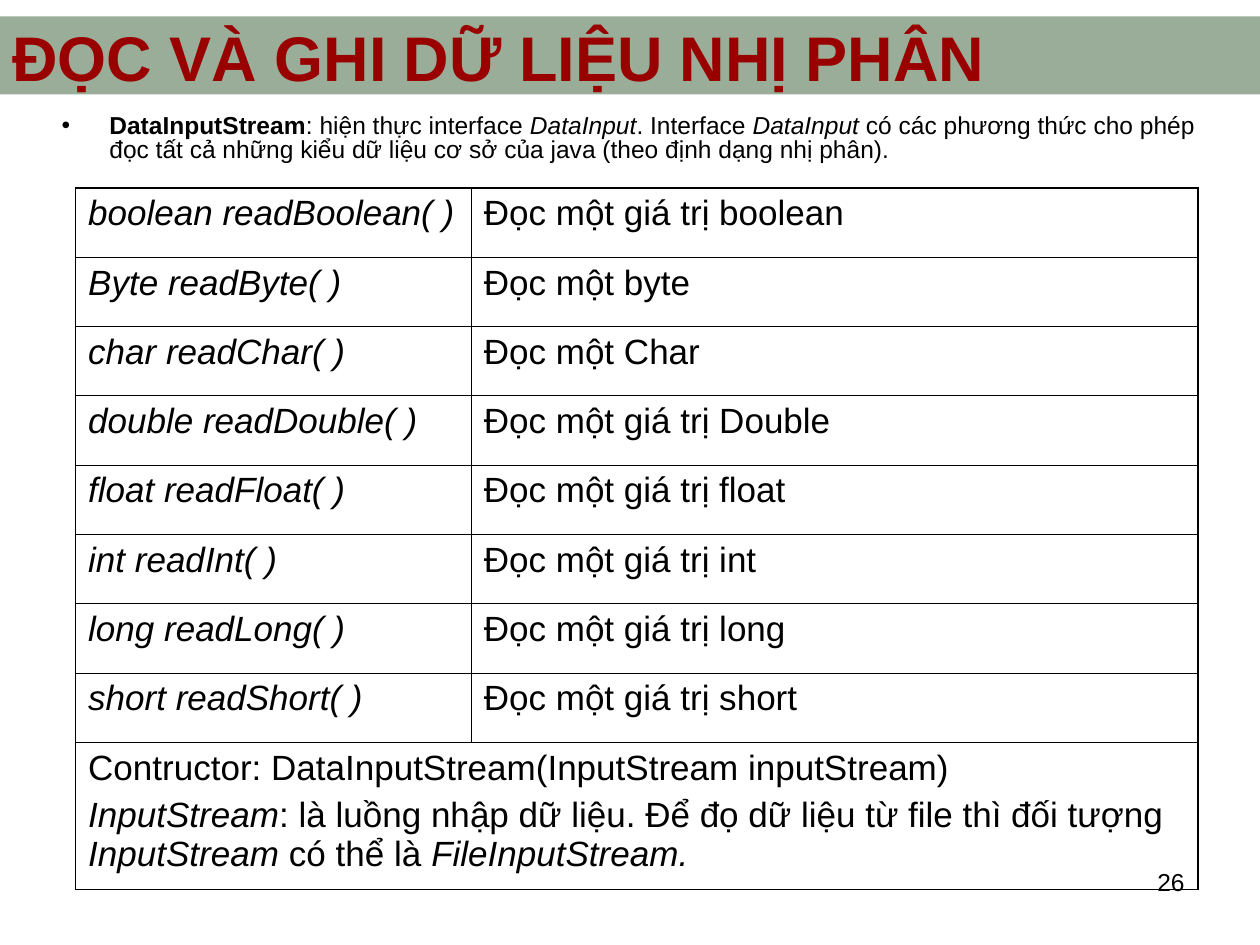
from dataclasses import dataclass

from lxml import etree
from pptx import Presentation
from pptx.dml.color import RGBColor
from pptx.enum.shapes import MSO_SHAPE
from pptx.enum.text import MSO_ANCHOR, PP_ALIGN
from pptx.oxml.ns import qn
from pptx.util import Inches, Pt

RECTANGLE = MSO_SHAPE.RECTANGLE
LEFT, RIGHT = PP_ALIGN.LEFT, PP_ALIGN.RIGHT
TOP, MIDDLE = MSO_ANCHOR.TOP, MSO_ANCHOR.MIDDLE

COLUMNS, ROWS = 100, 75  # grid over the 10 by 7.5 inch slide
PLAIN, BOLD, ITALIC = "plain", "bold", "italic"


@dataclass(frozen=True)
class Theme:
    font: str = "Arial"
    text: str = "000000"
    title: str = "990000"
    band: str = "003300"
    band_opacity: int = 40
    title_size: int = 36
    table_size: int = 20
    small_size: int = 14
    outer_border: float = 1.08
    inner_border: float = 0.45


METHODS = [
    ("boolean readBoolean( )", "Đọc một giá trị boolean"),
    ("Byte readByte( )", "Đọc một byte"),
    ("char readChar( )", "Đọc một Char"),
    ("double readDouble( )", "Đọc một giá trị Double"),
    ("float readFloat( )", "Đọc một giá trị float"),
    ("int readInt( )", "Đọc một giá trị int"),
    ("long readLong( )", "Đọc một giá trị long"),
    ("short readShort( )", "Đọc một giá trị short"),
]
CONSTRUCTOR = [
    [("Contructor: DataInputStream(InputStream inputStream)", PLAIN)],
    [
        ("InputStream", ITALIC),
        (": là luồng nhập dữ liệu. Để đọ dữ liệu từ file thì đối tượng ", PLAIN),
        ("InputStream ", ITALIC),
        ("có thể là ", PLAIN),
        ("FileInputStream.", ITALIC),
    ],
]
INTRODUCTION = [
    ("DataInputStream", BOLD),
    (": hiện thực interface ", PLAIN),
    ("DataInput", ITALIC),
    (". Interface ", PLAIN),
    ("DataInput ", ITALIC),
    ("có các phương thức cho phép đọc tất cả những kiểu dữ liệu cơ sở của java "
     "(theo định dạng nhị phân).", PLAIN),
]


class SlideBuilder:
    def __init__(self, presentation, theme):
        self.theme = theme
        self.column = presentation.slide_width / COLUMNS
        self.row = presentation.slide_height / ROWS
        self.slide = presentation.slides.add_slide(presentation.slide_layouts[6])

    def box(self, left, top, width, height):
        """Turn grid columns and rows into slide lengths."""
        return (round(left * self.column), round(top * self.row),
                round(width * self.column), round(height * self.row))

    def add_runs(self, paragraph, runs, size, color=None):
        for text, style in runs:
            run = paragraph.add_run()
            run.text = text
            font = run.font
            font.name, font.size = self.theme.font, Pt(size)
            font.bold, font.italic = style == BOLD, style == ITALIC
            font.color.rgb = RGBColor.from_string(color or self.theme.text)

    def band(self, *place):
        shape = self.slide.shapes.add_shape(RECTANGLE, *self.box(*place))
        shape.shadow.inherit = False
        shape.line.fill.background()
        shape.fill.solid()
        shape.fill.fore_color.rgb = RGBColor.from_string(self.theme.band)
        color = shape._element.spPr.find(".//" + qn("a:srgbClr"))
        etree.SubElement(color, qn("a:alpha"), val=str(self.theme.band_opacity * 1000))

    def text(self, place, runs, size, color=None, align=LEFT, anchor=TOP):
        shape = self.slide.shapes.add_textbox(*self.box(*place))
        shape.text_frame.word_wrap = True
        shape.text_frame.vertical_anchor = anchor
        paragraph = shape.text_frame.paragraphs[0]
        paragraph.alignment = align
        self.add_runs(paragraph, runs, size, color)
        return paragraph

    def bullet(self, place, runs, size):
        paragraph = self.text(place, runs, size)
        paragraph.line_spacing = 0.8
        paragraph.space_before = Pt(3.5)
        properties = paragraph._p.get_or_add_pPr()
        indent = Inches(0.38)
        properties.set("marL", str(indent))
        properties.set("indent", str(-indent))
        etree.SubElement(properties, qn("a:buFont"), typeface=self.theme.font)
        etree.SubElement(properties, qn("a:buChar"), char="•")

    def table(self, left, top, widths, heights, rows):
        """Draw rows of cells; a row with one cell spans the whole width."""
        place = self.box(left, top, sum(widths), sum(heights))
        frame = self.slide.shapes.add_table(len(heights), len(widths), *place)
        table = frame.table
        table.first_row = table.horz_banding = False
        for column, width in zip(table.columns, widths):
            column.width = round(width * self.column)
        for row, height in zip(table.rows, heights):
            row.height = round(height * self.row)
        last_row, last_column = len(heights) - 1, len(widths) - 1
        for r, cells in enumerate(rows):
            if len(cells) == 1:
                table.cell(r, 0).merge(table.cell(r, last_column))
            for c, paragraphs in enumerate(cells):
                self.fill_cell(table.cell(r, c), paragraphs)
            for c in range(len(widths)):
                cell = table.cell(r, c)
                cell.fill.background()
                self.borders(cell, {"L": c == 0, "R": c == last_column or len(cells) == 1,
                                    "T": r == 0, "B": r == last_row})

    def fill_cell(self, cell, paragraphs):
        frame = cell.text_frame
        for index, runs in enumerate(paragraphs):
            paragraph = frame.add_paragraph() if index else frame.paragraphs[0]
            paragraph.space_before = Pt(5)
            self.add_runs(paragraph, runs, self.theme.table_size)

    def borders(self, cell, outer_sides):
        properties = cell._tc.get_or_add_tcPr()
        for index, (side, outer) in enumerate(outer_sides.items()):
            width = self.theme.outer_border if outer else self.theme.inner_border
            line = etree.Element(qn(f"a:ln{side}"), w=str(Pt(width)))
            fill = etree.SubElement(line, qn("a:solidFill"))
            etree.SubElement(fill, qn("a:srgbClr"), val=self.theme.text)
            properties.insert(index, line)


def main():
    presentation = Presentation()
    presentation.slide_width, presentation.slide_height = Inches(10), Inches(7.5)
    theme = Theme()
    builder = SlideBuilder(presentation, theme)

    builder.text((71.7, 68.3, 23.3, 5.2), [("26", PLAIN)], theme.small_size, align=RIGHT)
    builder.band(0, 1.3, COLUMNS, 6.2)
    builder.bullet((3.9, 8.7, 93.6, 5.2), INTRODUCTION, theme.small_size)
    rows = [([[(method, ITALIC)]], [[(meaning, PLAIN)]]) for method, meaning in METHODS]
    builder.table(6, 14.9, widths=[31.4, 57.7], heights=[5.5] * len(METHODS) + [11.7],
                  rows=rows + [(CONSTRUCTOR,)])
    builder.text((0, 2.4, COLUMNS, 4.2), [("ĐỌC VÀ GHI DỮ LIỆU NHỊ PHÂN", BOLD)],
                 theme.title_size, theme.title, anchor=MIDDLE)

    presentation.save("out.pptx")


if __name__ == "__main__":
    main()
